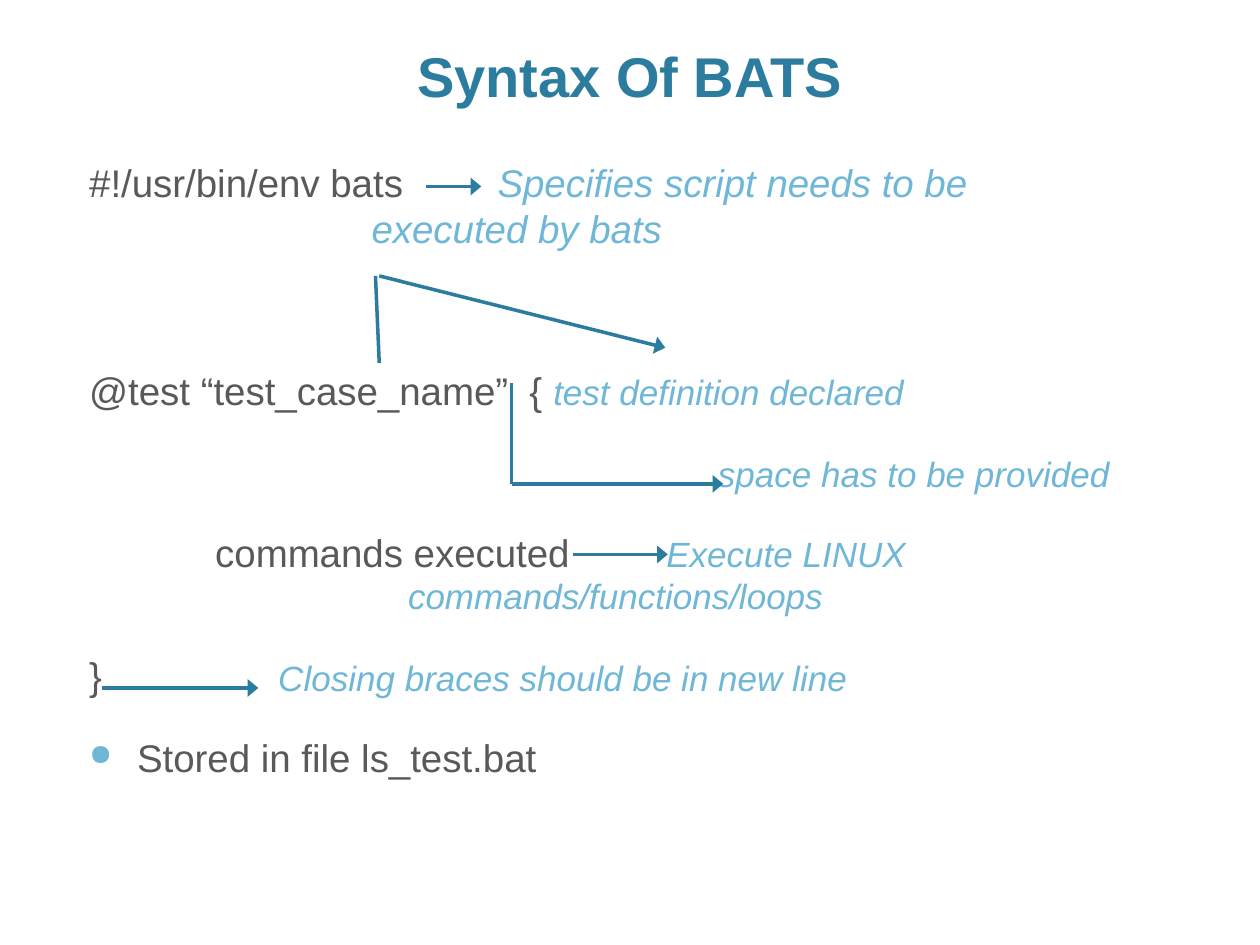
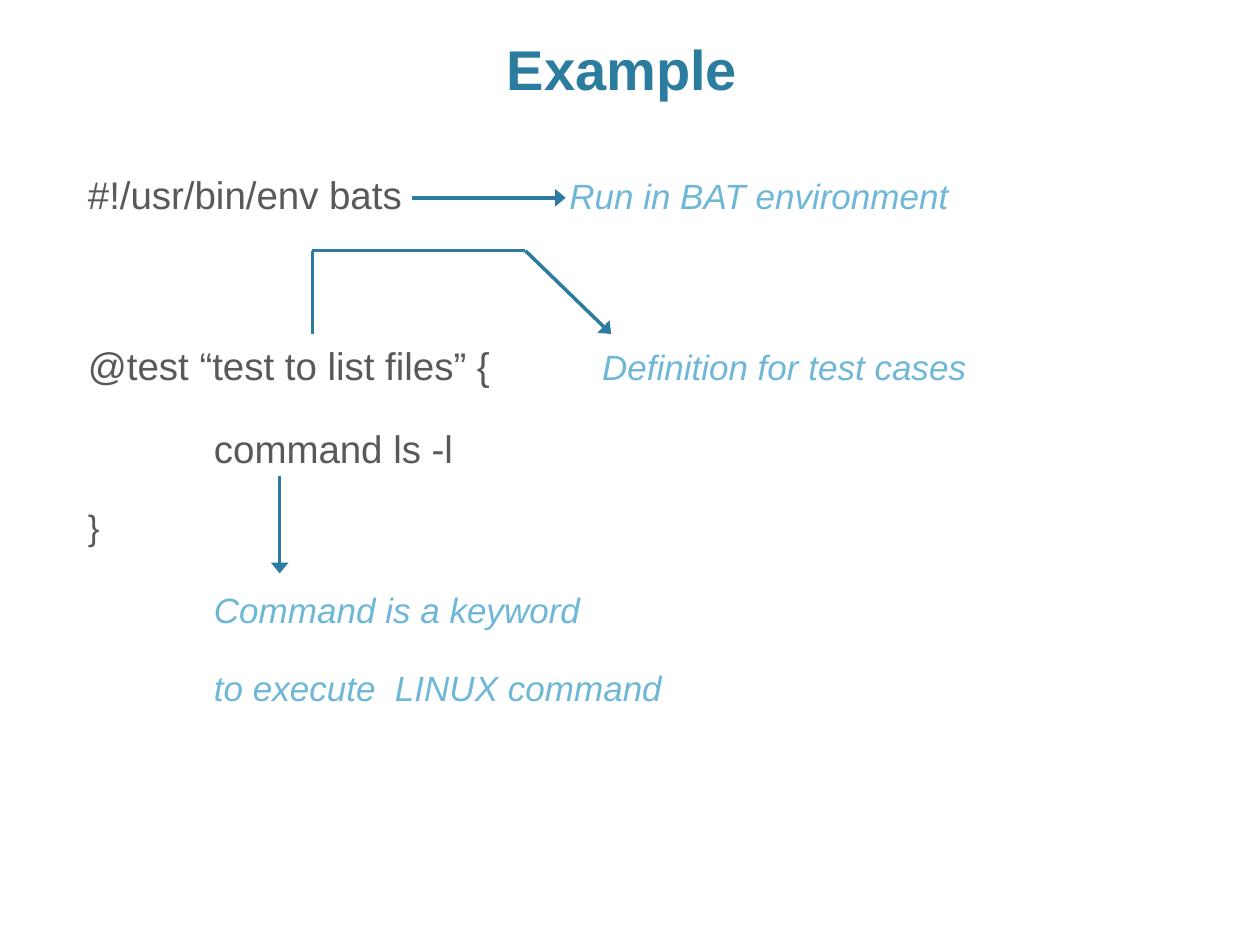
from lxml.etree import SubElement
from pptx import Presentation
from pptx.dml.color import RGBColor
from pptx.enum.shapes import MSO_CONNECTOR
from pptx.enum.text import MSO_ANCHOR, PP_ALIGN
from pptx.oxml.ns import qn
from pptx.util import Inches, Pt

COLUMNS, ROWS = 100, 75
CELL = Inches(10) / COLUMNS
FONT = "Arial"
TITLE_COLOR = "2C7C9F"
CODE_COLOR = "595959"
NOTE_COLOR = "6FB7D7"
PARAGRAPH_GAP = 20


def grid(cells):
    return round(cells * CELL)


def color(value):
    return RGBColor.from_string(value)


def code(text, size=22):
    return text, size, CODE_COLOR, False, False


def note(text, size=20):
    return text, size, NOTE_COLOR, False, True


def add_run(paragraph, text, size, run_color, bold, italic):
    run = paragraph.add_run()
    run.text = text
    run.font.name = FONT
    run.font.size = Pt(size)
    run.font.color.rgb = color(run_color)
    run.font.bold = bold
    run.font.italic = italic


def add_text_box(slide, left, top, width, height):
    shape = slide.shapes.add_textbox(*map(grid, (left, top, width, height)))
    shape.text_frame.word_wrap = True
    return shape.text_frame


def add_title(slide, text, height):
    frame = add_text_box(slide, 6, 1.2, 88, height)
    frame.vertical_anchor = MSO_ANCHOR.BOTTOM
    paragraph = frame.paragraphs[0]
    paragraph.alignment = PP_ALIGN.CENTER
    add_run(paragraph, text, 32, TITLE_COLOR, True, False)


def set_indent(paragraph, margin, first_line):
    properties = paragraph._p.get_or_add_pPr()
    properties.set("marL", str(grid(margin)))
    properties.set("indent", str(grid(first_line)))
    return properties


def set_bullet(properties):
    bullet_color = SubElement(properties, qn("a:buClr"))
    SubElement(bullet_color, qn("a:srgbClr"), val=NOTE_COLOR)
    SubElement(properties, qn("a:buSzPct"), val="76000")
    SubElement(properties, qn("a:buChar"), char="●")


def add_body(slide, left, top, height, lines):
    frame = add_text_box(slide, left, top, 88, height)
    for number, (runs, gap, indent, bullet) in enumerate(lines):
        paragraph = frame.add_paragraph() if number else frame.paragraphs[0]
        paragraph.space_before = Pt(gap)
        properties = set_indent(paragraph, indent, -indent if bullet else 0)
        if bullet:
            set_bullet(properties)
        for run in runs:
            add_run(paragraph, *run)


def add_note(slide, left, top, rows, size=20, first_line=0):
    frame = add_text_box(slide, left, top, 96 - left, 4 * len(rows))
    paragraph = frame.paragraphs[0]
    set_indent(paragraph, 0, first_line)
    for number, text in enumerate(rows):
        if number:
            paragraph.add_line_break()
        add_run(paragraph, *note(text, size))


def add_path(slide, points, arrow=True):
    segments = list(zip(points, points[1:]))
    for number, (start, end) in enumerate(segments, 1):
        connector = slide.shapes.add_connector(
            MSO_CONNECTOR.STRAIGHT, *map(grid, (*start, *end)))
        connector.line.color.rgb = color(TITLE_COLOR)
        connector.line.width = Pt(2)
        if arrow and number == len(segments):
            SubElement(connector.line._get_or_add_ln(), qn("a:tailEnd"),
                       type="triangle", w="lg", len="med")
        SubElement(connector._element.spPr, qn("a:effectLst"))


def add_syntax_slide(slide):
    add_title(slide, "Syntax Of BATS", 7.9)
    add_body(slide, 6.1, 12.1, 56.9, [
        ([code("#!/usr/bin/env bats")], 0, 0, False),
        ([code("@test “test_case_name”  { "), note("test definition declared")],
         92.5, 0, False),
        ([code("commands executed")], 66.5, 10, False),
        ([code("}")], 44, 0, False),
        ([code("Stored in file ls_test.bat")], PARAGRAPH_GAP, 3.8, True),
    ])
    add_note(slide, 28.5, 12.1, ["Specifies script needs to be", "executed by bats"],
             size=22, first_line=10)
    add_note(slide, 56, 35.4, ["space has to be provided"])
    add_note(slide, 31.4, 41.8, ["Execute LINUX", "commands/functions/loops"],
             first_line=20.5)
    add_note(slide, 21.1, 51.6, ["Closing braces should be in new line"])
    add_path(slide, [(29.8, 21.9), (30.1, 28.8)], arrow=False)
    add_path(slide, [(33.8, 14.8), (38.2, 14.8)])
    add_path(slide, [(30.1, 21.9), (52.8, 27.6)])
    add_path(slide, [(40.6, 30.4), (40.6, 38.4), (57.4, 38.4)])
    add_path(slide, [(45.5, 44), (53, 44)])
    add_path(slide, [(8.1, 54.6), (20.5, 54.6)])


def add_example_slide(slide):
    add_title(slide, "Example ", 7.4)
    add_body(slide, 6, 13.1, 58.3, [
        ([code("#!/usr/bin/env bats")], 0, 0, False),
        ([code("@test “test to list files” {")], 71, 0, False),
        ([code("command ls -l")], 21, 10, False),
        ([code("}", 20)], PARAGRAPH_GAP, 0, False),
        ([note("Command is a keyword")], 23.5, 10, False),
        ([note("to execute  LINUX command")], 20.5, 10, False),
    ])
    add_note(slide, 44.2, 13.35, ["Run in BAT environment"])
    add_note(slide, 46.8, 26.9, ["Definition for test cases"])
    add_path(slide, [(32.7, 15.7), (44.9, 15.7)])
    add_path(slide, [(24.8, 26.5), (24.8, 19.9), (41.7, 19.9), (48.5, 26.5)])
    add_path(slide, [(22.2, 37.8), (22.2, 45.5)])


def main():
    presentation = Presentation()
    presentation.slide_width = grid(COLUMNS)
    presentation.slide_height = grid(ROWS)
    blank_layout = presentation.slide_layouts[6]
    for build in (add_syntax_slide, add_example_slide):
        build(presentation.slides.add_slide(blank_layout))
    presentation.save("out.pptx")


main()
